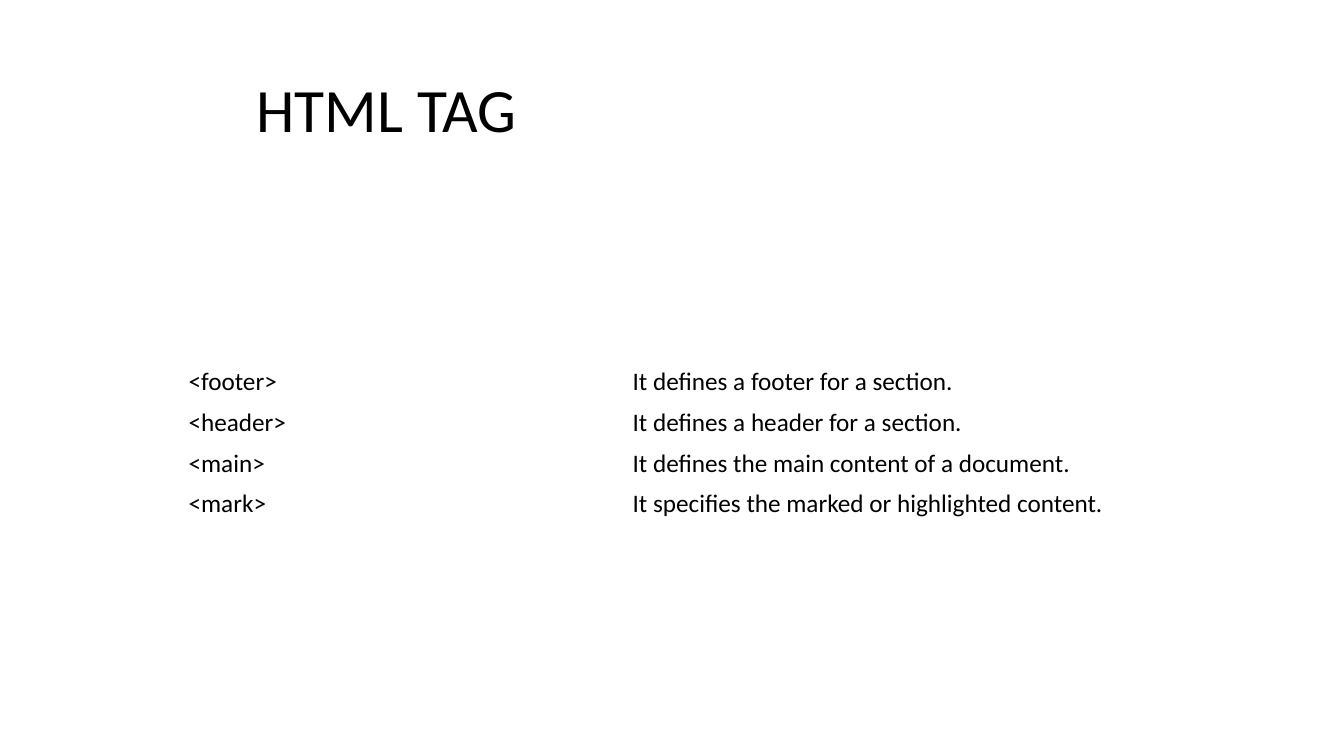
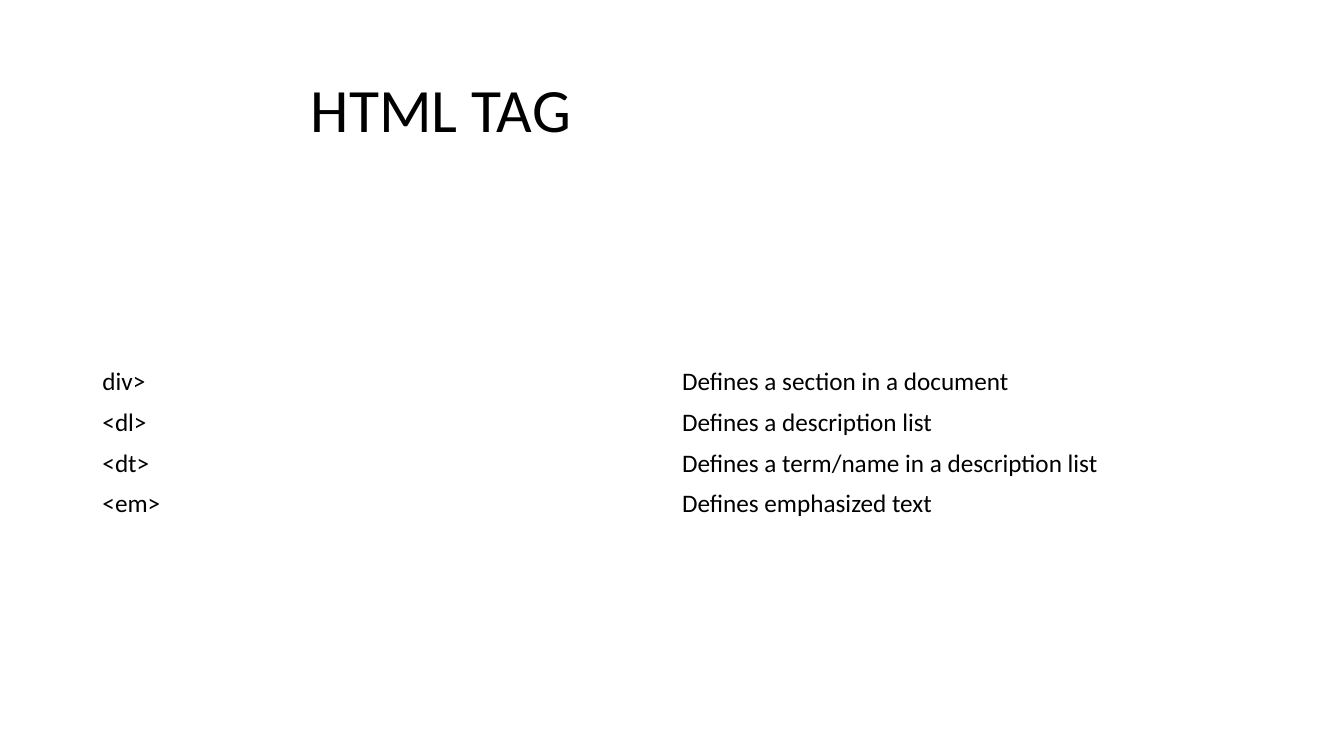
"""Build two slides that list HTML tags and their meanings."""
from pptx import Presentation
from pptx.dml.color import RGBColor
from pptx.enum.text import MSO_ANCHOR, PP_ALIGN
from pptx.util import Emu, Pt

MIDDLE = MSO_ANCHOR.MIDDLE
LEFT = PP_ALIGN.LEFT
TITLE_ONLY = 5
FONT = "Calibri"
INK = "000000"
PAGE_SIZE = (1280, 720)
TITLE_BOX = (88, 38, 1104, 139)
TABLE_TOP = 344
ROW_HEIGHT = 38

PAGES = [
    {
        "title": "HTML TAG",
        "title_inset": 156,
        "table_left": 170,
        "columns": (423, 599),
        "rows": [
            ("<footer>", "It defines a footer for a section."),
            ("<header>", "It defines a header for a section."),
            ("<main>", "It defines the main content of a document."),
            ("<mark>", "It specifies the marked or highlighted content."),
        ],
    },
    {
        "title": "HTML TAG",
        "title_inset": 208,
        "table_left": 88,
        "columns": (552, 552),
        "rows": [
            ("div>", "Defines a section in a document"),
            ("<dl>", "Defines a description list"),
            ("<dt>", "Defines a term/name in a description list"),
            ("<em>", "Defines emphasized text"),
        ],
    },
]


def px(length):
    return Emu(length * 9525)


def color(value):
    return RGBColor.from_string(value)


def style_text(frame, size):
    for para in frame.paragraphs:
        para.alignment = LEFT
        for span in para.runs:
            span.font.name = FONT
            span.font.size = Pt(size)
            span.font.color.rgb = color(INK)


def set_title(page, text, inset):
    title = page.shapes.title
    title.left, title.top, title.width, title.height = map(px, TITLE_BOX)
    frame = title.text_frame
    frame.text = text
    frame.margin_left = px(inset)
    frame.vertical_anchor = MIDDLE
    frame.paragraphs[0].line_spacing = 0.9
    style_text(frame, 44)


def add_tag_table(page, left, columns, rows):
    table = page.shapes.add_table(
        len(rows), len(columns), px(left), px(TABLE_TOP),
        px(sum(columns)), px(ROW_HEIGHT * len(rows))).table
    table.first_row = False
    table.horz_banding = False
    for column, width in zip(table.columns, columns):
        column.width = px(width)
    for row, texts in zip(table.rows, rows):
        for cell, text in zip(row.cells, texts):
            cell.fill.background()
            cell.vertical_anchor = MIDDLE
            cell.text_frame.text = text
            style_text(cell.text_frame, 18)


def main():
    deck = Presentation()
    deck.slide_width, deck.slide_height = map(px, PAGE_SIZE)
    for content in PAGES:
        page = deck.slides.add_slide(deck.slide_layouts[TITLE_ONLY])
        set_title(page, content["title"], content["title_inset"])
        add_tag_table(page, content["table_left"], content["columns"], content["rows"])
    deck.save("out.pptx")


if __name__ == "__main__":
    main()
